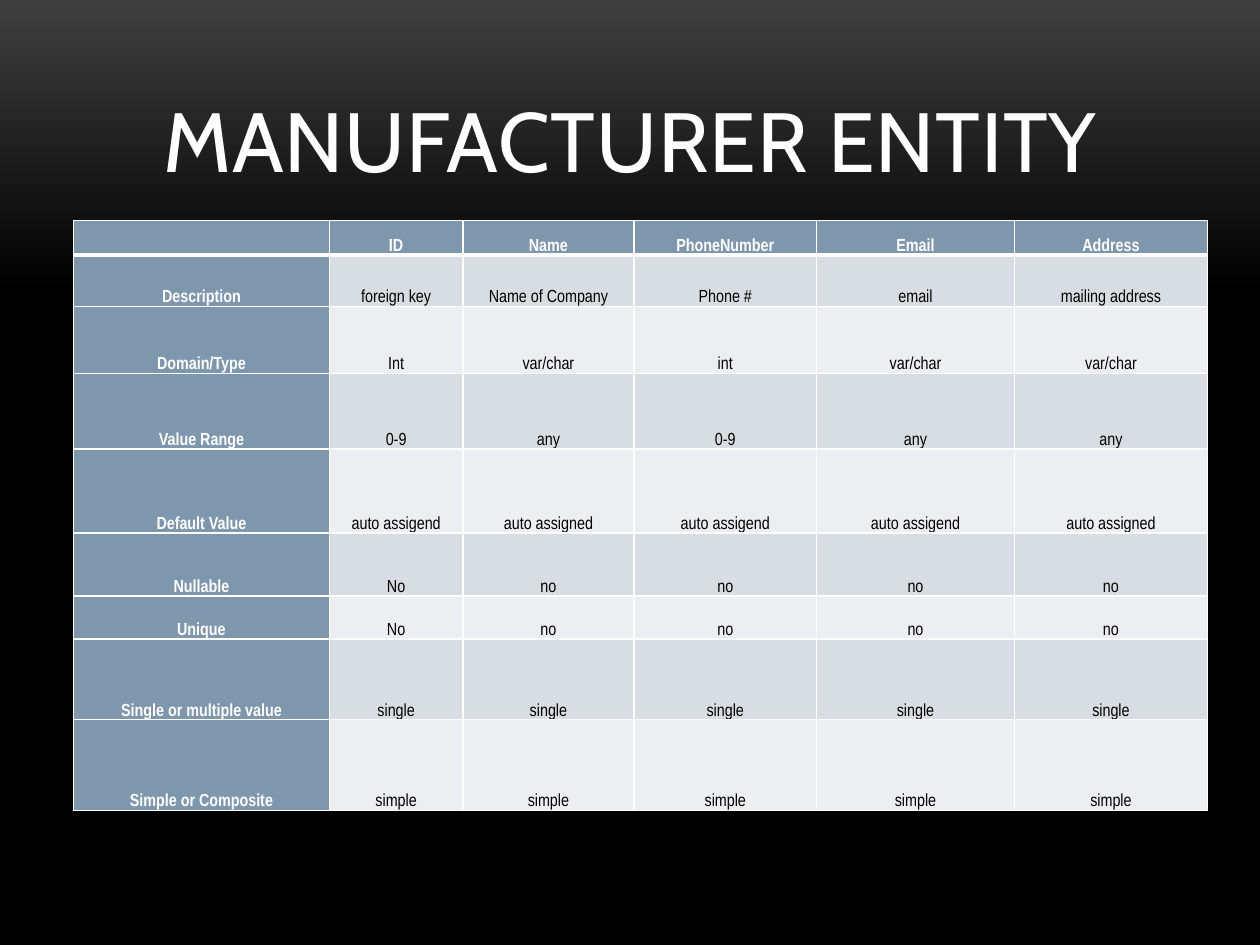
from lxml.etree import SubElement
from pptx import Presentation
from pptx.dml.color import RGBColor
from pptx.enum.text import MSO_ANCHOR as Anchor, PP_ALIGN as Align
from pptx.oxml.ns import qn
from pptx.util import Cm, Pt

WHITE = RGBColor(0xFF, 0xFF, 0xFF)
BLACK = RGBColor(0x00, 0x00, 0x00)
CHARCOAL = RGBColor(0x3F, 0x3F, 0x3F)
STEEL = RGBColor(0x7E, 0x97, 0xAD)
BANDS = (RGBColor(0xEC, 0xEF, 0xF1), RGBColor(0xD8, 0xDD, 0xE3))

COLUMN_WIDTHS = (5.16, 2.69, 3.45, 3.68, 3.99, 3.89)
ROW_HEIGHTS = (0.69, 1.04, 1.35, 1.52, 1.7, 1.27, 0.86, 1.63, 1.83)
ENTITY_ROWS = (
    ("", "ID", "Name", "PhoneNumber", "Email", "Address"),
    ("Description", "foreign key", "Name of Company", "Phone #", "email", "mailing address"),
    ("Domain/Type", "Int", "var/char", "int", "var/char", "var/char"),
    ("Value Range", "0-9", "any", "0-9", "any", "any"),
    ("Default Value", "auto assigend", "auto assigned", "auto assigend",
     "auto assigend", "auto assigned"),
    ("Nullable", "No", "no", "no", "no", "no"),
    ("Unique", "No", "no", "no", "no", "no"),
    ("Single or multiple value",) + ("single",) * 5,
    ("Simple or Composite",) + ("simple",) * 5,
)


def paint_background(page):
    """Fade the page from charcoal at the top to black."""
    fill = page.background.fill
    fill.gradient()
    fill.gradient_angle = 270
    for stop, color, position in zip(fill.gradient_stops, (CHARCOAL, BLACK), (0, 0.31)):
        stop.color.rgb = color
        stop.position = position


def place_title(title, left, top, width, height):
    """Move the title placeholder into its box and format it."""
    title.left, title.top, title.width, title.height = left, top, width, height
    frame = title.text_frame
    frame.text = "MANUFACTURER ENTITY"
    frame.word_wrap = True
    frame.vertical_anchor = Anchor.BOTTOM
    para = frame.paragraphs[0]
    para.alignment = Align.CENTER
    para.font.name = "Cabin"
    para.font.size = Pt(48)
    para.font.color.rgb = WHITE
    para.runs[0]._r.get_or_add_rPr().set("spc", "50")


def draw_borders(cell, top, bottom):
    """Give a cell white borders with the top and bottom widths in points."""
    properties = cell._tc.get_or_add_tcPr()
    for index, (side, width) in enumerate(
            (("lnL", 1), ("lnR", 1), ("lnT", top), ("lnB", bottom))):
        line = properties.makeelement(qn(f"a:{side}"), {"w": str(Pt(width))})
        fill = SubElement(line, qn("a:solidFill"))
        SubElement(fill, qn("a:srgbClr"), val=str(WHITE))
        properties.insert(index, line)


def format_cell(cell, text, fill_color, is_heading):
    """Write a cell's text and set its fill, margins and font."""
    cell.text = text
    cell.fill.solid()
    cell.fill.fore_color.rgb = fill_color
    cell.vertical_anchor = Anchor.BOTTOM
    cell.margin_left = cell.margin_right = Cm(0.18)
    cell.margin_top = cell.margin_bottom = 0
    para = cell.text_frame.paragraphs[0]
    para.alignment = Align.CENTER
    para.line_spacing = 1.15
    para.font.name = "Arial Narrow"
    para.font.size = Pt(10)
    para.font.bold = is_heading
    para.font.color.rgb = WHITE if is_heading else BLACK


def place_entity_table(page, left, top, width, height):
    """Build the attribute table with a heading row and heading column."""
    table = page.shapes.add_table(
        len(ROW_HEIGHTS), len(COLUMN_WIDTHS), left, top, width, height).table
    table.first_row = table.horz_banding = False
    for column, column_width in zip(table.columns, COLUMN_WIDTHS):
        column.width = Cm(column_width)
    for row_index, (row, row_height) in enumerate(zip(table.rows, ROW_HEIGHTS)):
        row.height = Cm(row_height)
        for column_index, cell in enumerate(row.cells):
            is_heading = row_index == 0 or column_index == 0
            fill_color = STEEL if is_heading else BANDS[row_index % 2]
            format_cell(cell, ENTITY_ROWS[row_index][column_index], fill_color, is_heading)
            draw_borders(cell, 3 if row_index == 1 else 1, 3 if row_index == 0 else 1)


def main():
    """Build the slide and save the deck."""
    deck = Presentation()
    deck.slide_width, deck.slide_height = Cm(25.4), Cm(19.05)
    page = deck.slides.add_slide(deck.slide_layouts[5])
    paint_background(page)
    place_title(page.shapes.title, Cm(1.7), Cm(0.76), Cm(22.02), Cm(3.18))
    place_entity_table(page, Cm(1.48), Cm(4.45), Cm(sum(COLUMN_WIDTHS)), Cm(sum(ROW_HEIGHTS)))
    deck.save("out.pptx")


if __name__ == "__main__":
    main()
